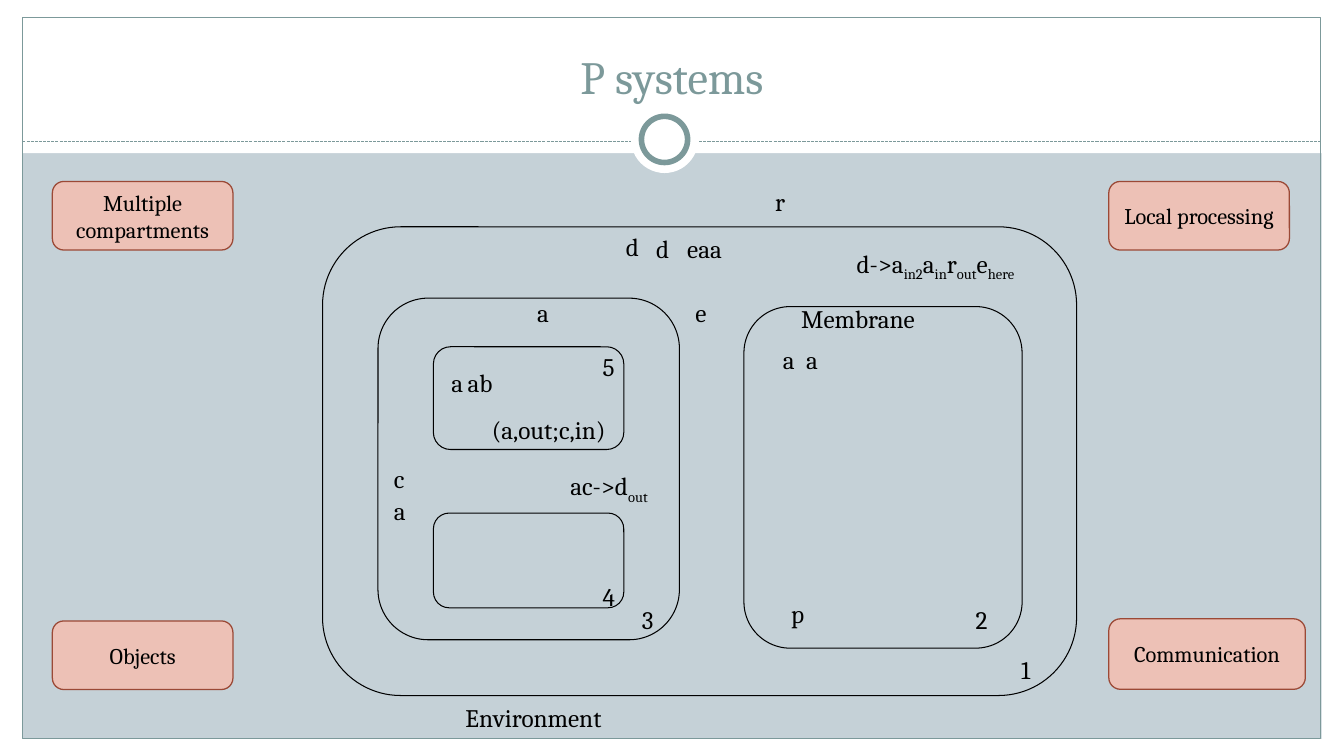
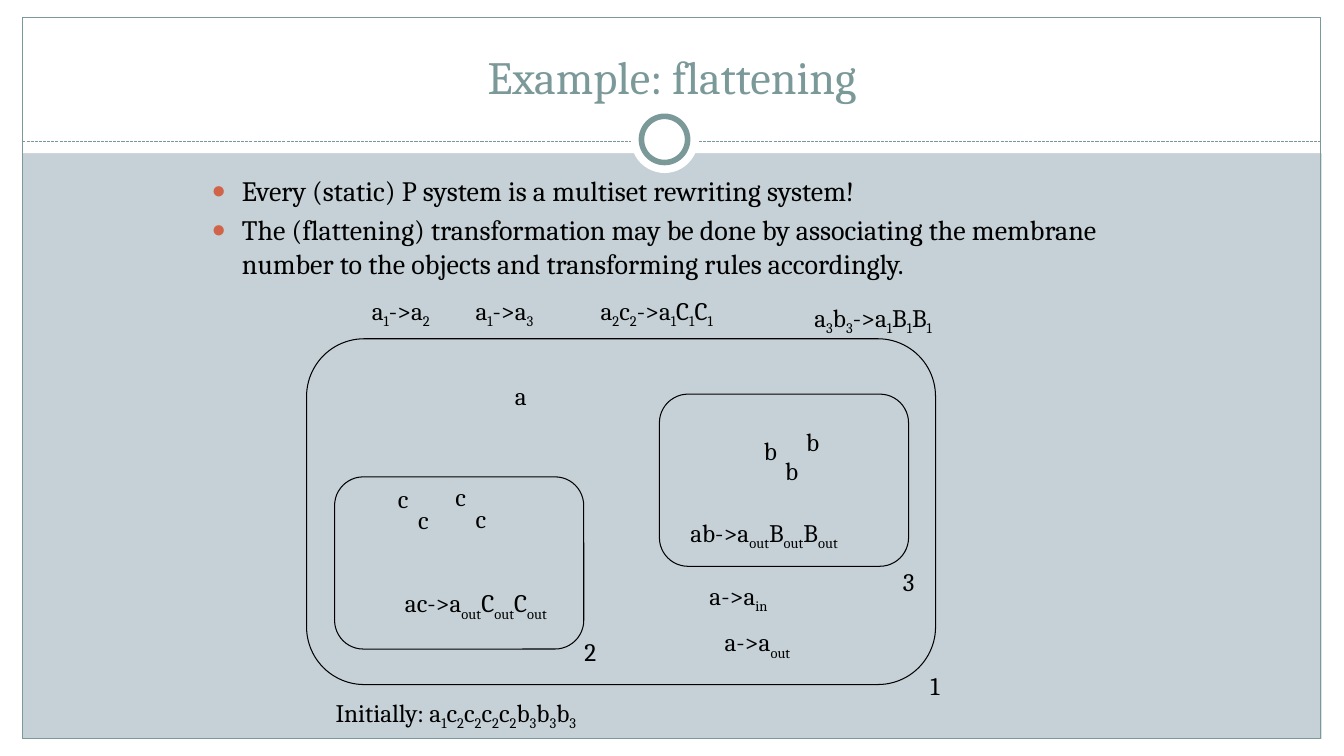
from lxml import etree
from pptx import Presentation
from pptx.dml.color import RGBColor
from pptx.enum import dml, shapes, text
from pptx.oxml import ns
from pptx.util import Pt

# Shared look
FONT = "Cambria"
TEAL = RGBColor(0x7C, 0x99, 0x9A)
MIST = RGBColor(0xC5, 0xD1, 0xD7)
WHITE = RGBColor(0xFF, 0xFF, 0xFF)
BLACK = RGBColor(0x00, 0x00, 0x00)
PINK = RGBColor(0xED, 0xC1, 0xB6)
BRICK = RGBColor(0x9B, 0x49, 0x36)
ORANGE = RGBColor(0xD1, 0x63, 0x49)
PAGE_WIDTH, PAGE_HEIGHT = 960, 540
LABEL_HEIGHT = 28.8
SHAPE = shapes.MSO_SHAPE

# Slide 1: frames are left, top, width, height; labels are text, left, top, width
# In a label, every second part between bars is a subscript
SYSTEM_MEMBRANES = [
    (230.4, 162, 538.6, 334.8),
    (270, 213, 215.3, 244),
    (531.4, 219, 198.7, 244),
    (309.6, 247.7, 136, 73.4),
    (309.6, 366.5, 136, 67.7),
]
SYSTEM_LABELS = [
    ("Environment", 325.4, 498.2, 121.7),
    ("Membrane", 565.2, 213.1, 103),
    ("ab", 326.9, 258.5, 33.8),
    ("c", 274.3, 327.6, 23),
    ("eaa", 483.8, 163.4, 43.2),
    ("p", 558, 424.1, 25.2),
    ("(a,out;c,in)", 344.2, 292.3, 103),
    ("d->a|in2|a|in|r|out|e|here", 604.8, 173.5, 147.6),
    ("ac->d|out", 400.3, 332.6, 79.2),
    ("a", 315.4, 258.5, 23.8),
    ("a", 274.3, 350.6, 23.8),
    ("d", 439.9, 162, 25.2),
    ("d", 461.5, 163.4, 25.2),
    ("e", 489.6, 208.8, 23.8),
    ("r", 546.5, 129.6, 22.3),
    ("a", 552.2, 242.6, 23.8),
    ("1", 722.2, 463.7, 22.3),
    ("2", 689.8, 428.4, 24.5),
    ("3", 451.4, 428.4, 24.5),
    ("4", 423.4, 411.8, 24.5),
    ("5", 423.4, 247.7, 24.5),
    ("a", 568.8, 242.6, 23.8),
    ("a", 376.6, 208.8, 23.8),
]
FEATURES = [
    ("Multiple compartments", (37.4, 129.6, 129, 49)),
    ("Objects", (37.4, 443.5, 129, 49)),
    ("Local processing", (792, 129.6, 129, 49)),
    ("Communication", (792, 442, 140.4, 50.4)),
]

# Slide 2
FLAT_MEMBRANES = [
    (219, 242, 449.3, 247),
    (471, 281.5, 178, 123),
    (239, 340.6, 178, 123),
]
FLAT_LABELS = [
    ("a", 360.7, 267.8, 23.8),
    ("b", 538.6, 307.4, 24.5),
    ("b", 553.7, 321.8, 24.5),
    ("b", 568.8, 301, 24.5),
    ("c", 277.2, 342, 23),
    ("c", 291.6, 356.4, 23),
    ("c", 332.6, 355.7, 23),
    ("c", 318.2, 340.6, 23),
    ("a->a|in", 499.7, 411.1, 61.9),
    ("ac->a|out|C|out|C|out", 282.2, 416.2, 136),
    ("ab->a|out|B|out|B|out", 486, 365.8, 138.2),
    ("a->a|out", 510.5, 444.2, 69.1),
    ("a|1|->a|2", 258.5, 207.4, 63.4),
    ("a|1|->a|3", 332.6, 207.4, 63.4),
    ("a|2|c|2|->a|1|C|1|C|1", 421.9, 207.4, 112.3),
    ("a|3|b|3|->a|1|B|1|B|1", 574.6, 212.4, 114.5),
    ("1", 657.4, 475.2, 22.3),
    ("2", 410.4, 450.7, 24.5),
    ("3", 637.9, 401, 24.5),
    ("Initially: a|1|c|2|c|2|c|2|c|2|b|3|b|3|b|3", 232.6, 494.6, 213.1),
]
FLAT_POINTS = [
    "Every (static) P system is a multiset rewriting system!",
    "The (flattening) transformation may be done by associating the membrane "
    "number to the objects and transforming rules accordingly.",
]


def points(values):
    return [Pt(value) for value in values]


def add_span(para, words, size, colour=BLACK, subscript=False):
    span = para.add_run()
    span.text = words
    span.font.name = FONT
    span.font.size = Pt(size)
    span.font.color.rgb = colour
    if subscript:
        span.font._element.set("baseline", "-25000")


def add_figure(page, kind, frame, fill=None, line=None, weight=0.75):
    figure = page.shapes.add_shape(kind, *points(frame))
    figure.shadow.inherit = False
    if fill is None:
        figure.fill.background()
    else:
        figure.fill.solid()
        figure.fill.fore_color.rgb = fill
    if line is None:
        figure.line.fill.background()
    else:
        figure.line.color.rgb = line
        figure.line.width = Pt(weight)
    return figure


def add_label(page, words, left, top, width):
    box = page.shapes.add_textbox(*points((left, top, width, LABEL_HEIGHT)))
    box.text_frame.word_wrap = False
    box.text_frame.auto_size = text.MSO_AUTO_SIZE.SHAPE_TO_FIT_TEXT
    for index, part in enumerate(words.split("|")):
        add_span(box.text_frame.paragraphs[0], part, 18, subscript=index % 2 == 1)


def add_feature(page, words, frame):
    box = add_figure(page, SHAPE.ROUNDED_RECTANGLE, frame, PINK, BRICK, 0.9)
    box.text_frame.word_wrap = True
    box.text_frame.vertical_anchor = text.MSO_ANCHOR.MIDDLE
    para = box.text_frame.paragraphs[0]
    para.alignment = text.PP_ALIGN.CENTER
    add_span(para, words, 16)


def add_diagram(page, membranes, labels):
    for frame in membranes:
        add_figure(page, SHAPE.ROUNDED_RECTANGLE, frame, line=BLACK)
    for label in labels:
        add_label(page, *label)


def place(holder, frame):
    holder.left, holder.top, holder.width, holder.height = points(frame)
    holder.text_frame.word_wrap = True
    holder.text_frame.auto_size = text.MSO_AUTO_SIZE.NONE


def add_page(deck, layout, title):
    page = deck.slides.add_slide(deck.slide_layouts[layout])
    holder = page.shapes.title
    place(holder, (32, 18, 896, 60))
    holder.text_frame.vertical_anchor = text.MSO_ANCHOR.BOTTOM
    para = holder.text_frame.paragraphs[0]
    para.alignment = text.PP_ALIGN.CENTER
    add_span(para, title, 33, TEAL)
    return page


def add_bullet(para):
    properties = para._p.get_or_add_pPr()
    properties.set("marL", str(Pt(21.6)))
    properties.set("indent", str(Pt(-21.6)))
    colour = etree.SubElement(properties, ns.qn("a:buClr"))
    etree.SubElement(colour, ns.qn("a:srgbClr"), val=str(ORANGE))
    etree.SubElement(properties, ns.qn("a:buSzPct"), val="85000")
    etree.SubElement(properties, ns.qn("a:buFont"), typeface="Arial")
    etree.SubElement(properties, ns.qn("a:buChar"), char="●")


def fill_list(holder, lines):
    place(holder, (144, 120.2, 669.6, 360))
    frame = holder.text_frame
    for index, line in enumerate(lines):
        para = frame.add_paragraph() if index else frame.paragraphs[0]
        add_bullet(para)
        para.space_before = Pt(4 if index else 0)
        add_span(para, line, 20)


def dress_master(deck, page):
    """Draw the shared frame on a page, then move it to the slide master."""
    master = deck.slide_master
    master.background.fill.solid()
    master.background.fill.fore_color.rgb = MIST
    # White margins and border
    margins = [
        (0, 528, PAGE_WIDTH, 12),
        (0, 0, PAGE_WIDTH, 109.4),
        (0, 0, 16, PAGE_HEIGHT),
        (944, 0, 16, PAGE_HEIGHT),
    ]
    parts = [add_figure(page, SHAPE.RECTANGLE, frame, WHITE) for frame in margins]
    parts.append(add_figure(page, SHAPE.RECTANGLE, (16, 12.2, 927.4, 515.6), line=TEAL))
    # Dashed rule under the title
    rule = page.shapes.add_connector(
        shapes.MSO_CONNECTOR.STRAIGHT, *points((16, 100.8, 943.4, 100.8)))
    rule.line.color.rgb = TEAL
    rule.line.width = Pt(0.75)
    rule.line.dash_style = dml.MSO_LINE.SQUARE_DOT
    etree.SubElement(rule.element.spPr, ns.qn("a:effectLst"))
    parts.append(rule)
    # Ring
    parts.append(add_figure(page, SHAPE.OVAL, (450.7, 75.6, 48, 48), WHITE))
    parts.append(add_figure(page, SHAPE.OVAL, (458.2, 83.1, 33, 33), WHITE, TEAL, 4))
    for number, part in enumerate(parts, 100):
        part.element.xpath(".//p:cNvPr")[0].set("id", str(number))
        master.shapes.element.append(part.element)


def main():
    deck = Presentation()
    deck.slide_width, deck.slide_height = points((PAGE_WIDTH, PAGE_HEIGHT))

    # Nested membranes with their features
    page = add_page(deck, 5, "P systems")
    dress_master(deck, page)
    add_diagram(page, SYSTEM_MEMBRANES, SYSTEM_LABELS)
    for feature in FEATURES:
        add_feature(page, *feature)

    # Flattening example
    page = add_page(deck, 1, "Example: flattening")
    fill_list(page.placeholders[1], FLAT_POINTS)
    add_diagram(page, FLAT_MEMBRANES, FLAT_LABELS)

    deck.save("out.pptx")


if __name__ == "__main__":
    main()
